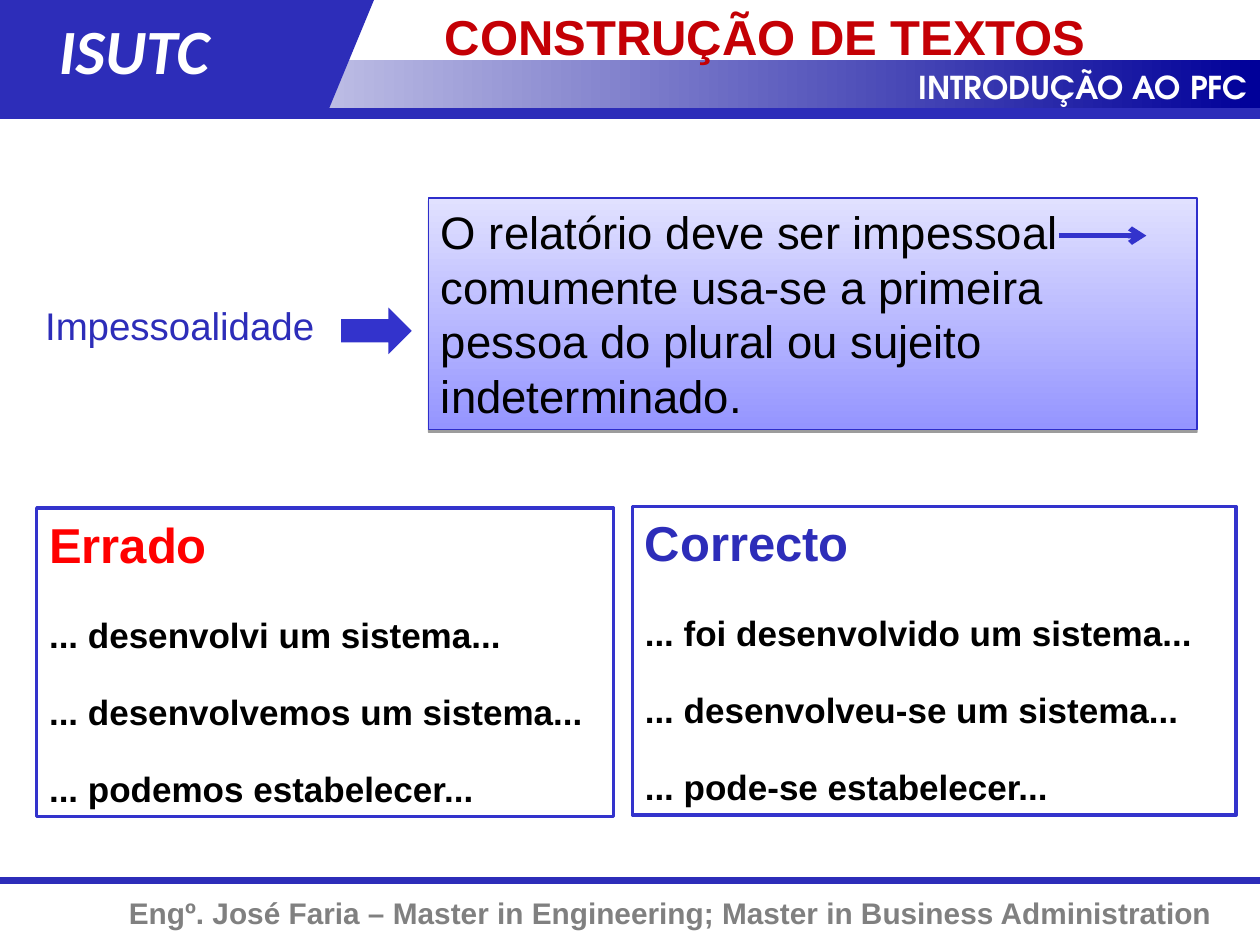
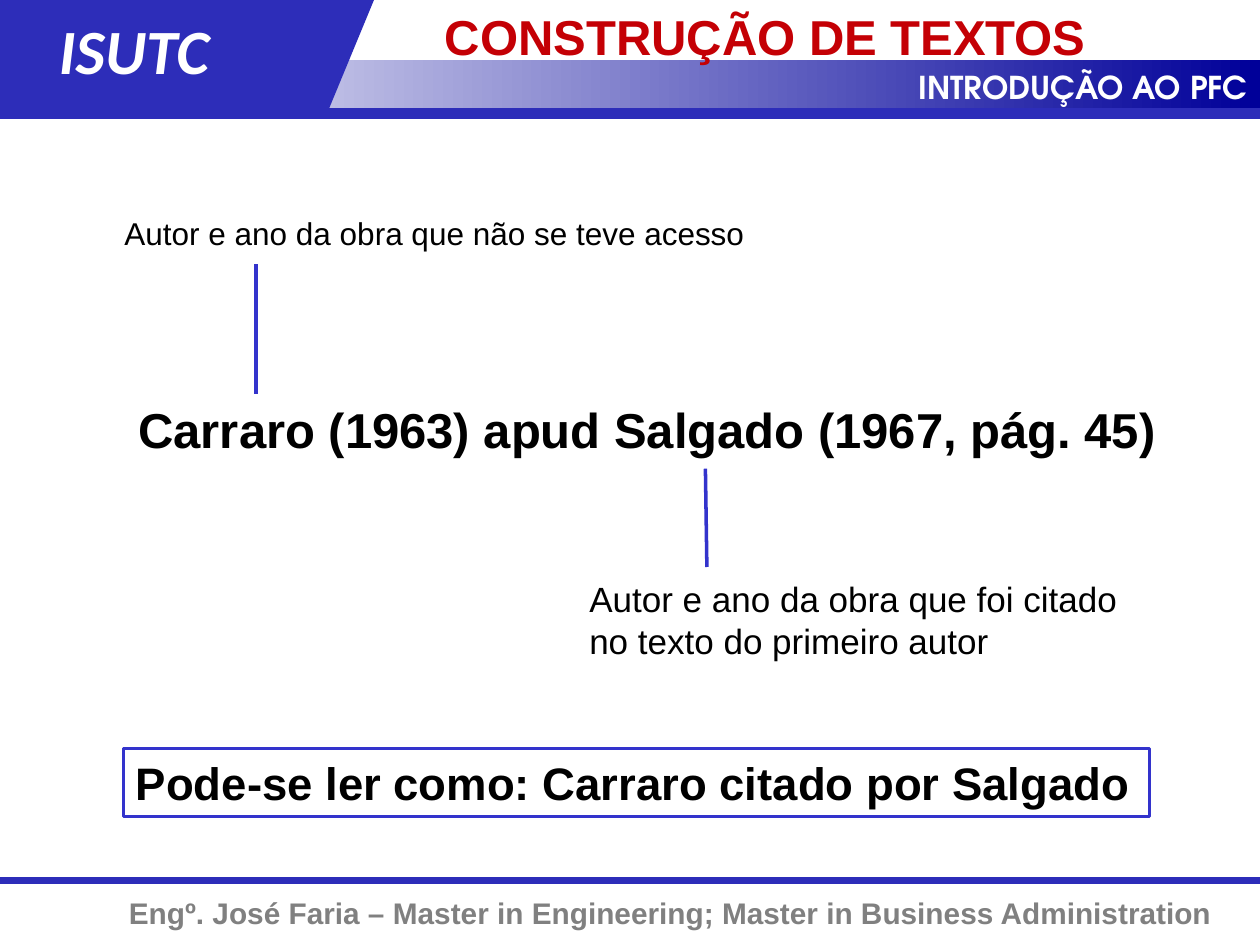
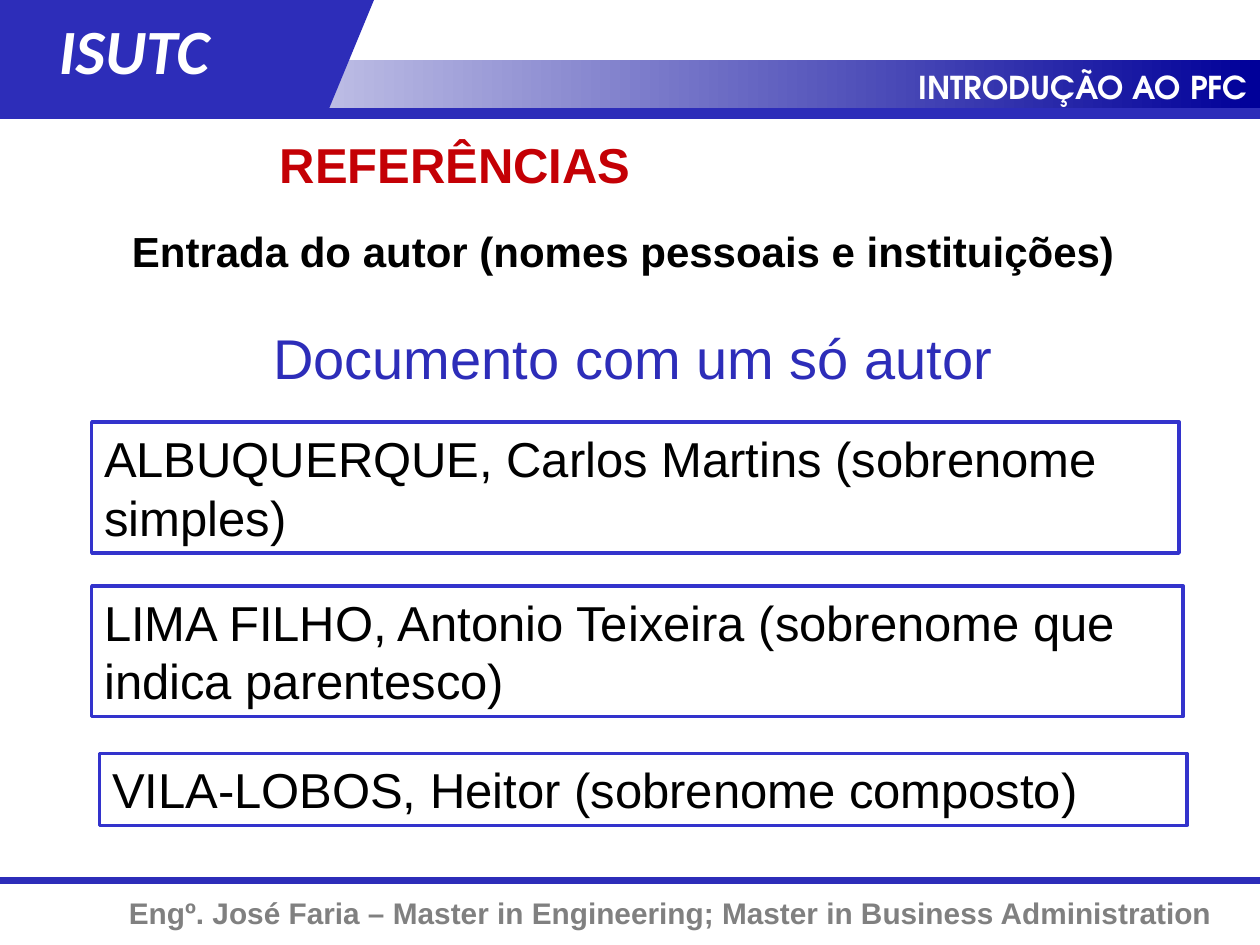
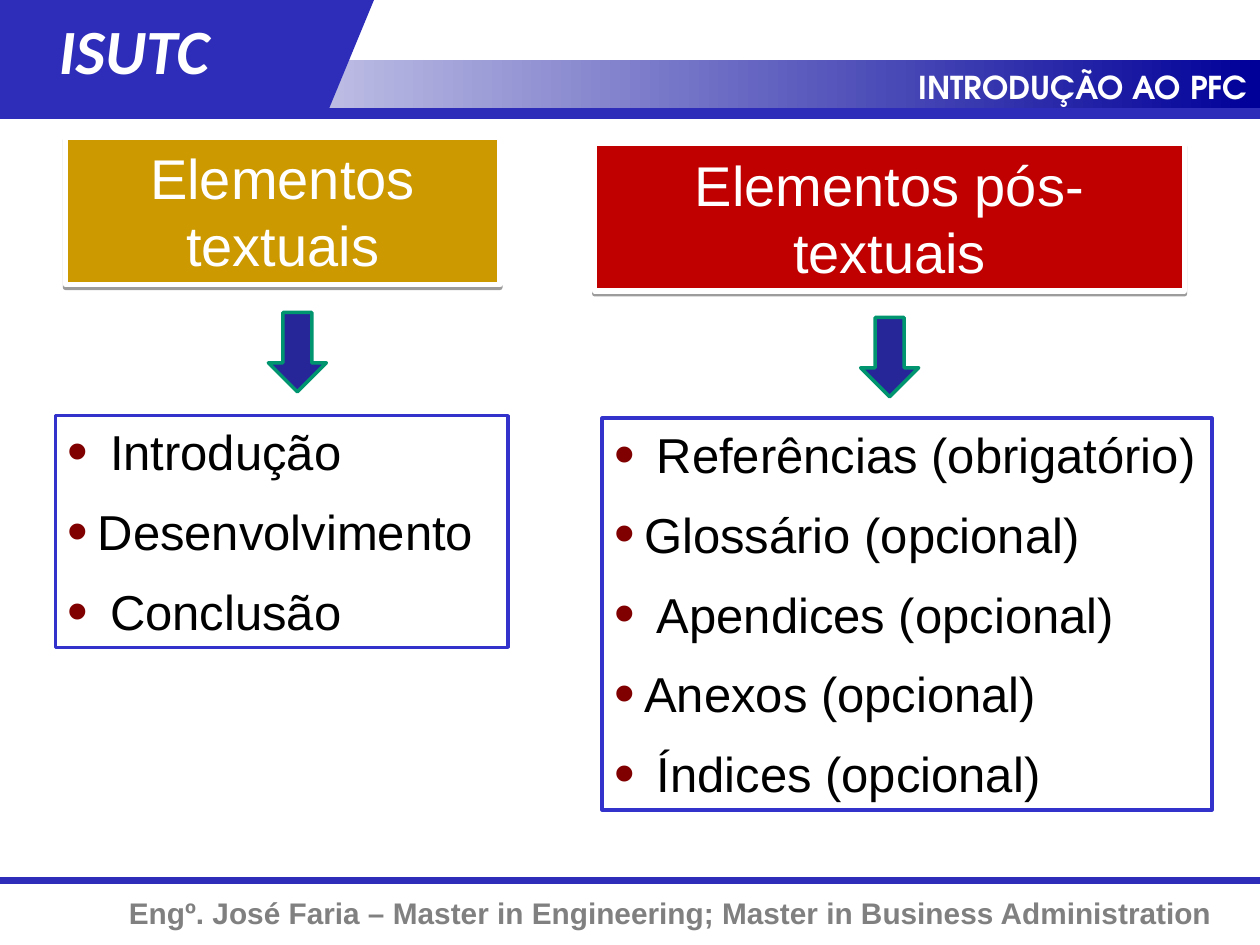
import pptx
import pptx.dml.color
import pptx.enum.shapes
import pptx.enum.text
import pptx.oxml.ns
import pptx.util
from lxml import etree

Cm = pptx.util.Cm
Pt = pptx.util.Pt
SHAPE = pptx.enum.shapes.MSO_SHAPE
ALIGN = pptx.enum.text.PP_ALIGN
qn = pptx.oxml.ns.qn

BLUE = "2D2DB9"
OUTLINE = "3333CC"
RED = "C40005"
BLACK = "000000"
WHITE = "FFFFFF"
WIDTH = 25.4


def rgb(code):
    return pptx.dml.color.RGBColor.from_string(code)


def add_child(parent, tag, **attributes):
    return etree.SubElement(parent, qn(tag), attributes)


def paint_gradient(fill, first, last, angle):
    fill.gradient()
    fill.gradient_angle = angle
    for stop, color, position in zip(fill.gradient_stops, (first, last), (0, 1)):
        stop.color.rgb = rgb(color)
        stop.position = position


def cast_shadow(shape):
    effects = shape.element.spPr.find(qn("a:effectLst"))
    shadow = add_child(effects, "a:outerShdw", blurRad="0", dist="20320",
                       dir="5400000", rotWithShape="0")
    color = add_child(shadow, "a:srgbClr", val=BLACK)
    add_child(color, "a:alpha", val="38000")


def style_paragraph(paragraph, size, color=BLACK, bold=False, italic=False,
                    font="Arial", align=ALIGN.LEFT, after=0):
    paragraph.alignment = align
    paragraph.space_after = Pt(after)
    for run in paragraph.runs:
        run.font.name = font
        run.font.size = Pt(size)
        run.font.bold = bold
        run.font.italic = italic
        run.font.color.rgb = rgb(color)


def write(frame, text, size, **style):
    frame.word_wrap = True
    frame.vertical_anchor = pptx.enum.text.MSO_ANCHOR.TOP
    frame.text = text
    for paragraph in frame.paragraphs:
        style_paragraph(paragraph, size, **style)


def add_label(slide, text, left, top, width, height, size, **style):
    label = slide.shapes.add_textbox(Cm(left), Cm(top), Cm(width), Cm(height))
    write(label.text_frame, text, size, **style)
    return label


def add_block(slide, kind, left, top, width, height, fill=None, line=None, weight=2):
    block = slide.shapes.add_shape(kind, Cm(left), Cm(top), Cm(width), Cm(height))
    block.shadow.inherit = False
    if fill:
        block.fill.solid()
        block.fill.fore_color.rgb = rgb(fill)
    if line:
        block.line.color.rgb = rgb(line)
        block.line.width = Pt(weight)
    else:
        block.line.fill.background()
    return block


def add_framed(slide, text, left, top, width, height, size=28, **style):
    framed = add_block(slide, SHAPE.RECTANGLE, left, top, width, height, WHITE, OUTLINE)
    write(framed.text_frame, text, size, **style)
    return framed


def add_line(slide, start, end, color=OUTLINE, weight=2, arrow=False):
    line = slide.shapes.add_connector(
        pptx.enum.shapes.MSO_CONNECTOR.STRAIGHT, *map(Cm, start + end))
    line.line.color.rgb = rgb(color)
    line.line.width = Pt(weight)
    if arrow:
        add_child(line.element.spPr.find(qn("a:ln")), "a:tailEnd", type="arrow")
    add_child(line.element.spPr, "a:effectLst")


def add_title(slide, text, left=7.62, top=0):
    title = add_label(slide, text, left, top, 17.78, 1.22, 28, color=RED, bold=True)
    title.text_frame.margin_left = Cm(1.35)


def add_examples(slide, heading, color, examples, left, top, width):
    card = add_framed(slide, "\n".join([heading] + examples), left, top, width, 6.22,
                      size=20, bold=True, after=7.5)
    first, *others = card.text_frame.paragraphs
    style_paragraph(first, 28, color=color, bold=True, after=10.5)
    for paragraph in others:
        paragraph.space_before = Pt(12.5)


def add_heading(slide, text, fill, left, top, width):
    heading = add_block(slide, SHAPE.RECTANGLE, left, top, width, 2.97, fill, WHITE, 3)
    cast_shadow(heading)
    write(heading.text_frame, text, 32, color=WHITE, align=ALIGN.CENTER)


def add_down_arrow(slide, left, top):
    add_block(slide, SHAPE.DOWN_ARROW, left, top, 1.17, 1.6, "262699", "00956F")


def add_bullets(slide, items, left, top, width, height):
    box = add_framed(slide, "\n".join(items), left, top, width, height, after=6)
    for index, paragraph in enumerate(box.text_frame.paragraphs):
        if index:
            paragraph.space_before = Pt(6)
        indent = Cm(0.6 if index % 2 else 0.85)
        properties = paragraph._p.get_or_add_pPr()
        properties.set("marL", str(indent))
        properties.set("indent", str(-indent))
        color = add_child(properties, "a:buClr")
        add_child(color, "a:srgbClr", val="800000")
        add_child(properties, "a:buSzPct", val="120000")
        add_child(properties, "a:buFont", typeface="Arial")
        add_child(properties, "a:buChar", char="•")


def draw_frame(slide):
    add_line(slide, (0, 17.75), (WIDTH, 17.75), BLUE, 4)
    add_label(slide, "Engº. José Faria – Master in Engineering; "
              "Master in Business Administration",
              0, 17.91, 24.69, 0.99, 17, color="808080", bold=True, align=ALIGN.RIGHT)
    band = add_block(slide, SHAPE.RECTANGLE, 0, 1.22, WIDTH, 0.99)
    paint_gradient(band.fill, WHITE, "000099", 0)
    add_block(slide, SHAPE.FLOWCHART_DATA, 2.97, 0, 4.57, 2.21, BLUE)
    add_block(slide, SHAPE.RECTANGLE, 0, 0, 4.04, 2.21, BLUE)
    add_label(slide, "INTRODUÇÃO AO PFC", 11.07, 1.24, 14.33, 1.02, 18, color=WHITE,
              bold=True, font="TeX Gyre Adventor", align=ALIGN.RIGHT)
    add_label(slide, "ISUTC", 0.94, 0.1, 4.9, 1.78, 36, color=WHITE, bold=True,
              italic=True, font="Calibri")
    add_line(slide, (0, 2.29), (WIDTH, 2.29), BLUE, 6)


def share_frame(slide):
    layout = slide.slide_layout
    for placeholder in list(layout.placeholders):
        layout.shapes.element.remove(placeholder.element)
    draw_frame(slide)
    for part in list(slide.shapes):
        layout.shapes.element.append(part.element)


def fill_impersonality(slide):
    add_title(slide, "CONSTRUÇÃO DE TEXTOS")
    add_examples(slide, "Errado", "FF0000",
                 ["... desenvolvi um sistema...",
                  "... desenvolvemos um sistema...",
                  "... podemos estabelecer..."], 0.74, 10.24, 11.63)
    add_examples(slide, "Correcto", BLUE,
                 ["... foi desenvolvido um sistema...",
                  "... desenvolveu-se um sistema...",
                  "... pode-se estabelecer..."], 12.75, 10.21, 12.17)
    rule = add_block(slide, SHAPE.RECTANGLE, 8.64, 3.99, 15.49, 4.67,
                     line="2E2ECB", weight=0.75)
    paint_gradient(rule.fill, "9595FF", "E1E1FF", 90)
    cast_shadow(rule)
    write(rule.text_frame, "O relatório deve ser impessoal comumente usa-se a primeira "
          "pessoa do plural ou sujeito indeterminado.", 26)
    add_label(slide, "Impessoalidade", 0.66, 5.97, 6.43, 1.19, 22, color=BLUE)
    add_block(slide, SHAPE.RIGHT_ARROW, 6.88, 6.2, 1.42, 0.94, OUTLINE)
    add_line(slide, (21.34, 4.75), (23.11, 4.75), weight=3, arrow=True)


def fill_citation(slide):
    add_label(slide, "Autor e ano da obra que não se teve acesso",
              2.26, 4.19, 13.51, 1.02, 18)
    add_label(slide, "Carraro (1963) apud Salgado (1967, pág. 45)",
              2.54, 7.92, 21.34, 1.45, 28, bold=True)
    add_label(slide, "Autor e ano da obra que foi citado no texto do primeiro autor",
              11.63, 11.51, 11.48, 1.96, 20)
    add_framed(slide, "Pode-se ler como: Carraro citado por Salgado",
               2.49, 15.09, 20.68, 1.37, size=26, bold=True)
    add_line(slide, (5.16, 5.33), (5.16, 7.95))
    add_line(slide, (14.22, 9.45), (14.25, 11.43))
    add_title(slide, "CONSTRUÇÃO DE TEXTOS")


def fill_references(slide):
    add_title(slide, "REFERÊNCIAS", 4.29, 2.59)
    add_label(slide, "Entrada do autor (nomes pessoais e instituições)",
              2.41, 4.42, 21.46, 1.27, 24, bold=True)
    add_label(slide, "Documento com um só autor", 5.26, 6.4, 15.65, 1.63, 32, color=BLUE)
    add_framed(slide, "ALBUQUERQUE, Carlos Martins (sobrenome simples)",
               1.85, 8.51, 21.92, 2.64)
    add_framed(slide, "LIMA FILHO, Antonio Teixeira (sobrenome que indica parentesco)",
               1.85, 11.81, 22, 2.64)
    add_framed(slide, "VILA-LOBOS, Heitor (sobrenome composto)",
               2.01, 15.19, 21.92, 1.45)


def fill_elements(slide):
    add_heading(slide, "Elementos textuais", "CC9900", 1.32, 2.77, 8.76)
    add_bullets(slide, ["Introdução", "Desenvolvimento", "Conclusão"],
                1.12, 8.38, 9.12, 4.67)
    add_down_arrow(slide, 5.41, 6.3)
    add_heading(slide, "Elementos pós-textuais", "C00000", 11.99, 2.9, 11.89)
    add_bullets(slide, ["Referências (obrigatório)", "Glossário (opcional)",
                        "Apendices (opcional)", "Anexos (opcional)",
                        "Índices (opcional)"], 12.14, 8.43, 12.29, 7.9)
    add_down_arrow(slide, 17.35, 6.4)


def main():
    presentation = pptx.Presentation()
    presentation.slide_width = Cm(WIDTH)
    presentation.slide_height = Cm(19.05)
    blank = presentation.slide_layouts[6]
    fillers = (fill_impersonality, fill_citation, fill_references, fill_elements)
    slides = [presentation.slides.add_slide(blank) for _ in fillers]
    share_frame(slides[0])
    for fill, slide in zip(fillers, slides):
        fill(slide)
    presentation.save("out.pptx")


if __name__ == "__main__":
    main()
